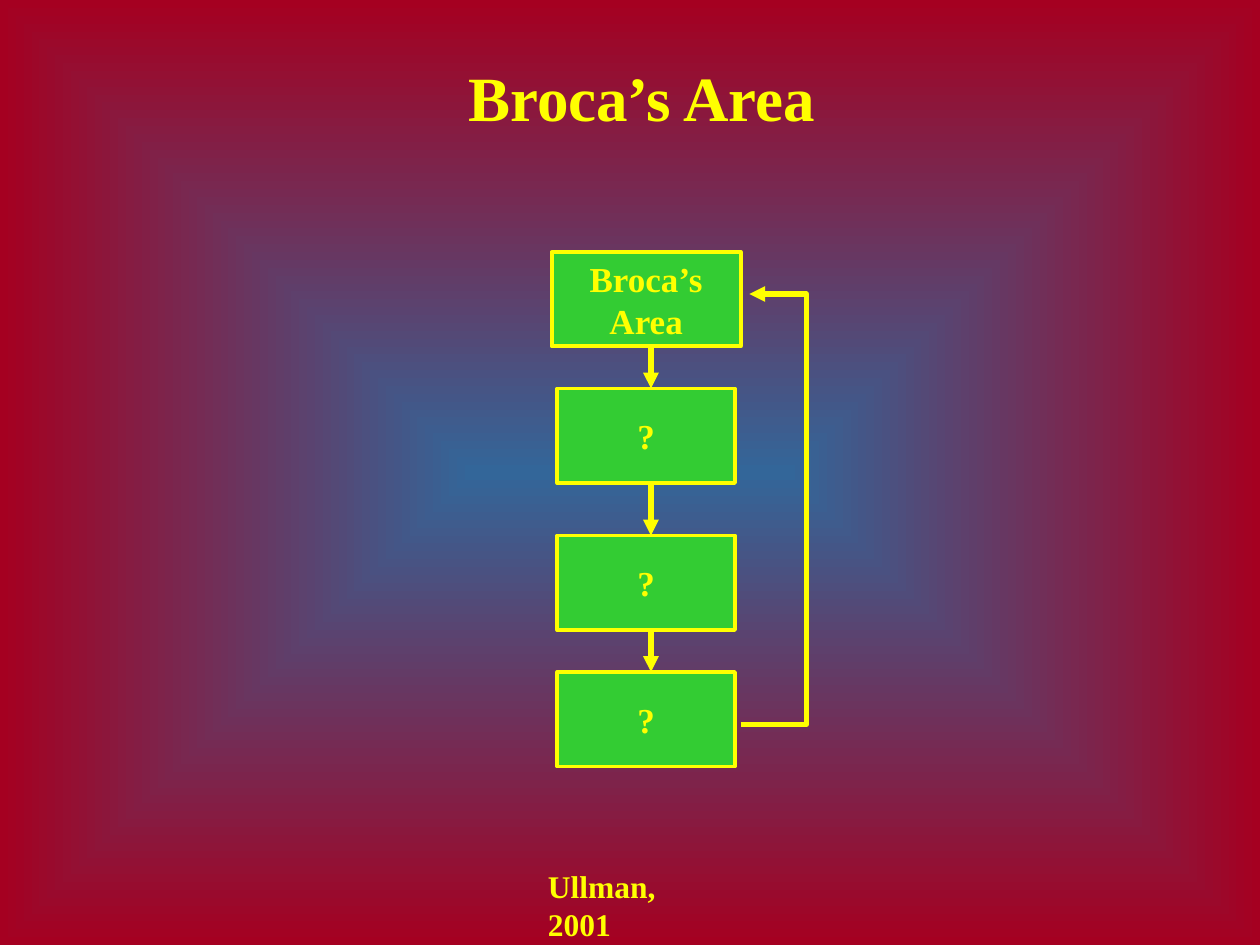
from pptx import Presentation
from pptx.dml.color import RGBColor
from pptx.enum.shapes import MSO_CONNECTOR, MSO_SHAPE
from pptx.enum.text import MSO_ANCHOR, MSO_AUTO_SIZE, PP_ALIGN
from pptx.oxml.ns import qn
from pptx.util import Pt
from lxml import etree

STRAIGHT = MSO_CONNECTOR.STRAIGHT
RECTANGLE = MSO_SHAPE.RECTANGLE
MIDDLE = MSO_ANCHOR.MIDDLE
TOP = MSO_ANCHOR.TOP
FIT_SHAPE = MSO_AUTO_SIZE.SHAPE_TO_FIT_TEXT
CENTER = PP_ALIGN.CENTER
LEFT = PP_ALIGN.LEFT

COLORS = {"center": "336699", "edge": "A50021", "box": "33CC33", "accent": "FFFF00"}
FONT = "Times New Roman"
BOX_HEIGHT = 54
STAGES = [
    (["Broca’s", "Area"], 108, 144),
    (["?"], 101.5, 222),
    (["?"], 101.5, 306),
    (["?"], 101.5, 384),
]


def color(name):
    return RGBColor.from_string(COLORS[name])


def write_text(shape, lines, size, alignment, anchor):
    frame = shape.text_frame
    frame.word_wrap = False
    frame.vertical_anchor = anchor
    for index, line in enumerate(lines):
        paragraph = frame.add_paragraph() if index else frame.paragraphs[0]
        paragraph.alignment = alignment
        run = paragraph.add_run()
        run.text = line
        run.font.name = FONT
        run.font.size = Pt(size)
        run.font.bold = True
        run.font.color.rgb = color("accent")


def style_line(shape, width, arrow=False):
    shape.line.color.rgb = color("accent")
    shape.line.width = Pt(width)
    if arrow:
        properties = shape.line._get_or_add_ln()
        etree.SubElement(properties, qn("a:tailEnd"), type="triangle")


def paint_background(slide):
    fill = slide.background.fill
    fill.gradient()
    for stop, name in zip(fill.gradient_stops, ("center", "edge")):
        stop.color.rgb = color(name)
    gradient = slide.element.find(".//" + qn("a:gradFill"))
    gradient.remove(gradient.find(qn("a:lin")))
    focus = etree.SubElement(gradient, qn("a:path"), path="rect")
    sides = {side: "50000" for side in "ltrb"}
    etree.SubElement(focus, qn("a:fillToRect"), **sides)


def add_title(slide, left, top, width, height):
    title = slide.shapes.title
    title.left, title.top = Pt(left), Pt(top)
    title.width, title.height = Pt(width), Pt(height)
    write_text(title, ["Broca’s Area"], 36, CENTER, TOP)
    title.text_frame.auto_size = FIT_SHAPE


def add_stage(slide, lines, left, top, width, height):
    box = slide.shapes.add_shape(RECTANGLE, Pt(left), Pt(top), Pt(width), Pt(height))
    box.shadow.inherit = False
    box.fill.solid()
    box.fill.fore_color.rgb = color("box")
    style_line(box, 2.25)
    write_text(box, lines, 20, CENTER, MIDDLE)


def add_arrow(slide, x, top, bottom):
    arrow = slide.shapes.add_connector(STRAIGHT, Pt(x), Pt(top), Pt(x), Pt(bottom))
    style_line(arrow, 3, arrow=True)
    etree.SubElement(arrow._element.spPr, qn("a:effectLst"))


def add_feedback(slide, start, corner_x, end):
    route = [(corner_x, start[1]), (corner_x, end[1]), end]
    builder = slide.shapes.build_freeform(Pt(start[0]), Pt(start[1]))
    builder.add_line_segments([(Pt(x), Pt(y)) for x, y in route], close=False)
    feedback = builder.convert_to_shape()
    feedback.shadow.inherit = False
    feedback.fill.background()
    style_line(feedback, 3, arrow=True)


def add_flow(slide, center_x):
    for lines, width, top in STAGES:
        add_stage(slide, lines, center_x - width / 2, top, width, BOX_HEIGHT)
    for (_, _, top), (_, _, next_top) in zip(STAGES, STAGES[1:]):
        add_arrow(slide, center_x + 2.75, top + BOX_HEIGHT, next_top)
    add_feedback(slide, (center_x + 54, 414), center_x + 91.5, (center_x + 59, 168))


def add_citation(slide, left, top, width, height):
    citation = slide.shapes.add_textbox(Pt(left), Pt(top), Pt(width), Pt(height))
    write_text(citation, ["Ullman, 2001"], 18, LEFT, TOP)
    citation.text_frame.auto_size = FIT_SHAPE


def main():
    presentation = Presentation()
    presentation.slide_width, presentation.slide_height = Pt(720), Pt(540)
    slide = presentation.slides.add_slide(presentation.slide_layouts[5])
    paint_background(slide)
    add_title(slide, 258, 30, 217.5, 50.5)
    add_flow(slide, 369.25)
    add_citation(slide, 306, 492, 116, 29)
    presentation.save("out.pptx")


if __name__ == "__main__":
    main()
